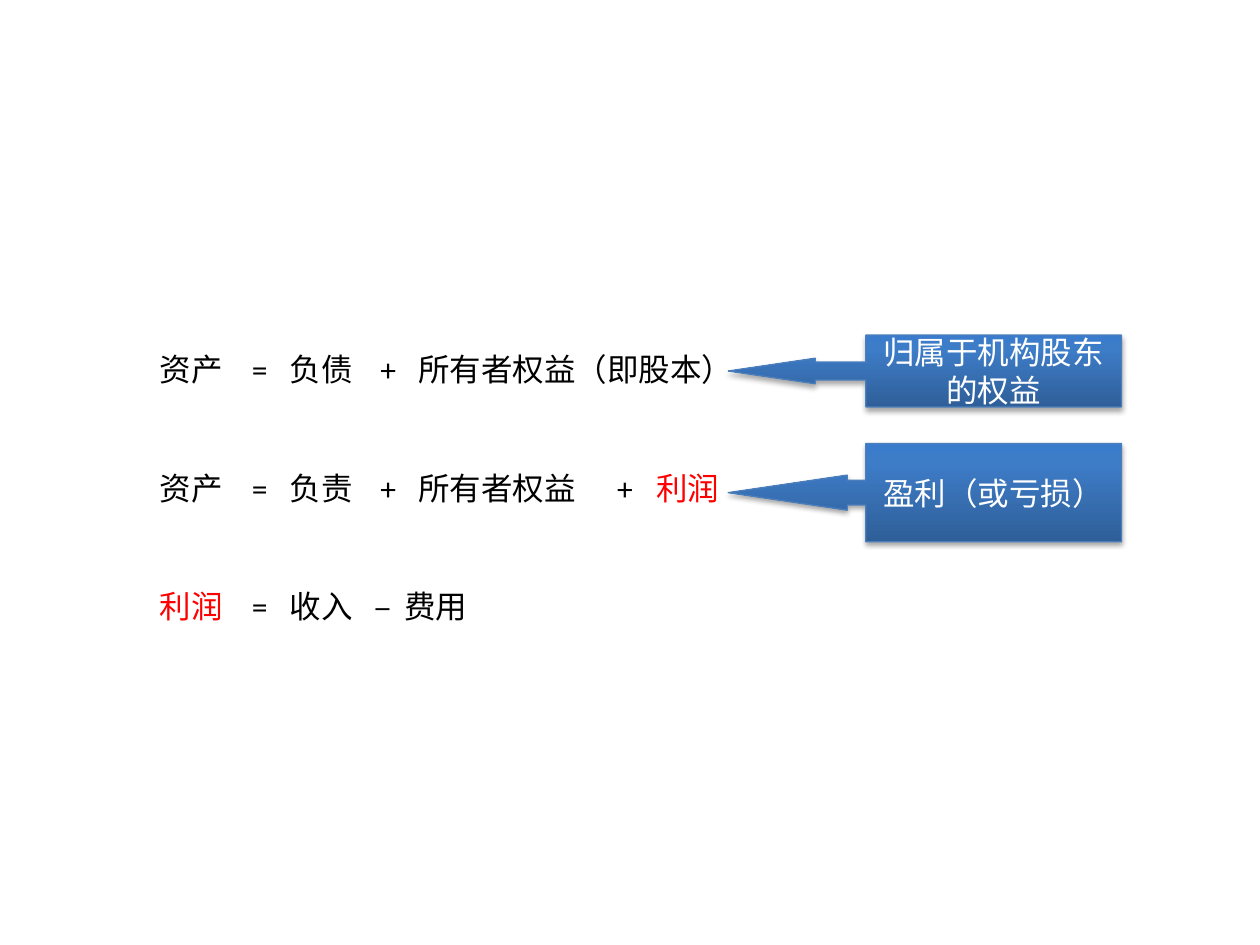
from copy import deepcopy
from lxml import etree
from pptx import Presentation, util as u
from pptx.dml.color import RGBColor
from pptx.enum import shapes, text
from pptx.oxml import ns

BLACK, RED, WHITE = "000000", "FF0000", "FFFFFF"
STOPS = [(0, "2F5F99"), (0.8, "3D7CC7"), (1, "3A7CCB")]
LINES = [
    ([("资产\t=\t负债\t+\t所有者权益（即股本）", BLACK)], [0.73, 1.03, 1.75, 2.05]),
    ([("资产\t=\t负责\t+\t所有者权益\t+\t", BLACK), ("利润", RED)],
     [0.73, 1.03, 1.75, 2.05, 3.63, 3.94]),
    ([("利润\t", RED), ("=\t收入\t–\t费用", BLACK)], [0.73, 1.03, 1.7, 1.94]),
]
NOTES = [("归属于机构股东的权益", 2.66, 0.57), ("盈利（或亏损）", 3.52, 0.78)]


def paint(color, tone):
    color.rgb = RGBColor.from_string(tone)


def style(run, tone):
    run.font.size = u.Pt(18)
    run.font.name = "Calibri"
    paint(run.font.color, tone)


def sub(parent, tag, **attrs):
    node = etree.SubElement(parent, ns.qn(tag))
    for key, value in attrs.items():
        node.set(key, str(value))
    return node


def formula(slide, parts, tabs, left, top, width, height):
    box = slide.shapes.add_textbox(*map(u.Inches, (left, top, width, height)))
    frame = box.text_frame
    frame.word_wrap = True
    frame.auto_size = text.MSO_AUTO_SIZE.SHAPE_TO_FIT_TEXT
    para = frame.paragraphs[0]
    stops = sub(para._p.get_or_add_pPr(), "a:tabLst")
    for tab in tabs:
        sub(stops, "a:tab", pos=u.Inches(tab), algn="l")
    for words, tone in parts:
        run = para.add_run()
        run.text = words
        style(run, tone)


def shade(shape):
    shape.fill.gradient()
    shape.fill.gradient_angle = 90
    props = shape._element.spPr
    stops = props.find(".//" + ns.qn("a:gsLst"))
    stops.append(deepcopy(stops[0]))
    for stop, (place, tone) in zip(shape.fill.gradient_stops, STOPS):
        stop.position = place
        paint(stop.color, tone)
    paint(shape.line.color, "4B7EBC")
    shape.line.width = u.Pt(0.75)
    shape.shadow.inherit = False
    glow = sub(props.find(ns.qn("a:effectLst")), "a:outerShdw",
               blurRad=u.Pt(3.1), dist=u.Pt(1.8), dir=5400000, rotWithShape=0)
    sub(sub(glow, "a:srgbClr", val=BLACK), "a:alpha", val=35000)


def callout(slide, words, left, top, width, height):
    shape = slide.shapes.add_shape(shapes.MSO_SHAPE.LEFT_ARROW_CALLOUT,
                                   *map(u.Inches, (left, top, width, height)))
    for i, value in enumerate((0.25, 0.178, 1.21, 0.65)):
        shape.adjustments[i] = value
    shade(shape)
    frame = shape.text_frame
    frame.text = words
    frame.word_wrap = True
    frame.vertical_anchor = text.MSO_ANCHOR.MIDDLE
    para = frame.paragraphs[0]
    para.alignment = text.PP_ALIGN.CENTER
    style(para.runs[0], WHITE)


deck = Presentation()
deck.slide_width, deck.slide_height = u.Inches(10), u.Inches(7.5)
slide = deck.slides.add_slide(deck.slide_layouts[6])
for row, (parts, tabs) in enumerate(LINES):
    formula(slide, parts, tabs, 1.17, 2.73 + 0.94 * row, 5.45, 0.4)
for words, top, height in NOTES:
    callout(slide, words, 5.78, top, 3.12, height)
deck.save("out.pptx")
